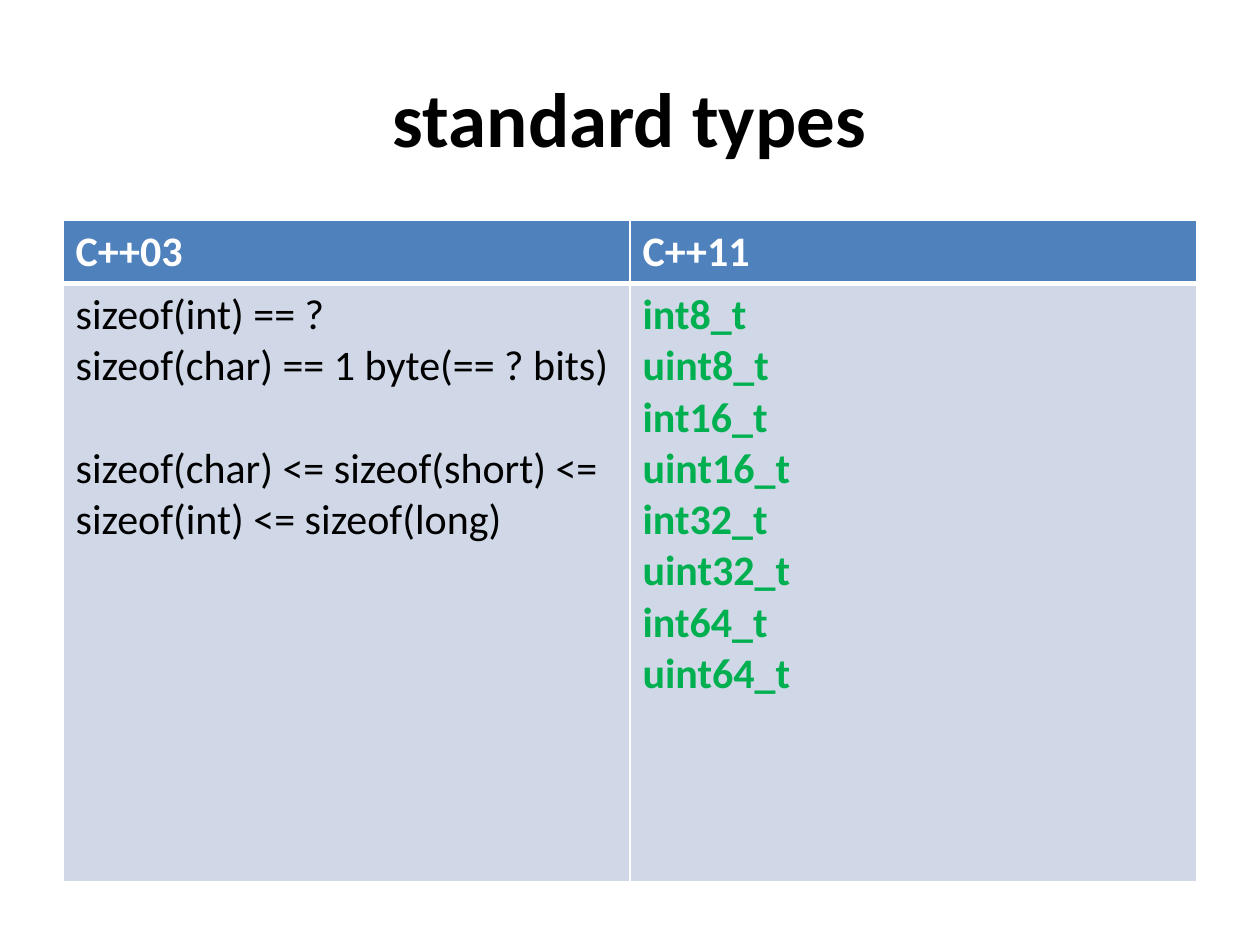
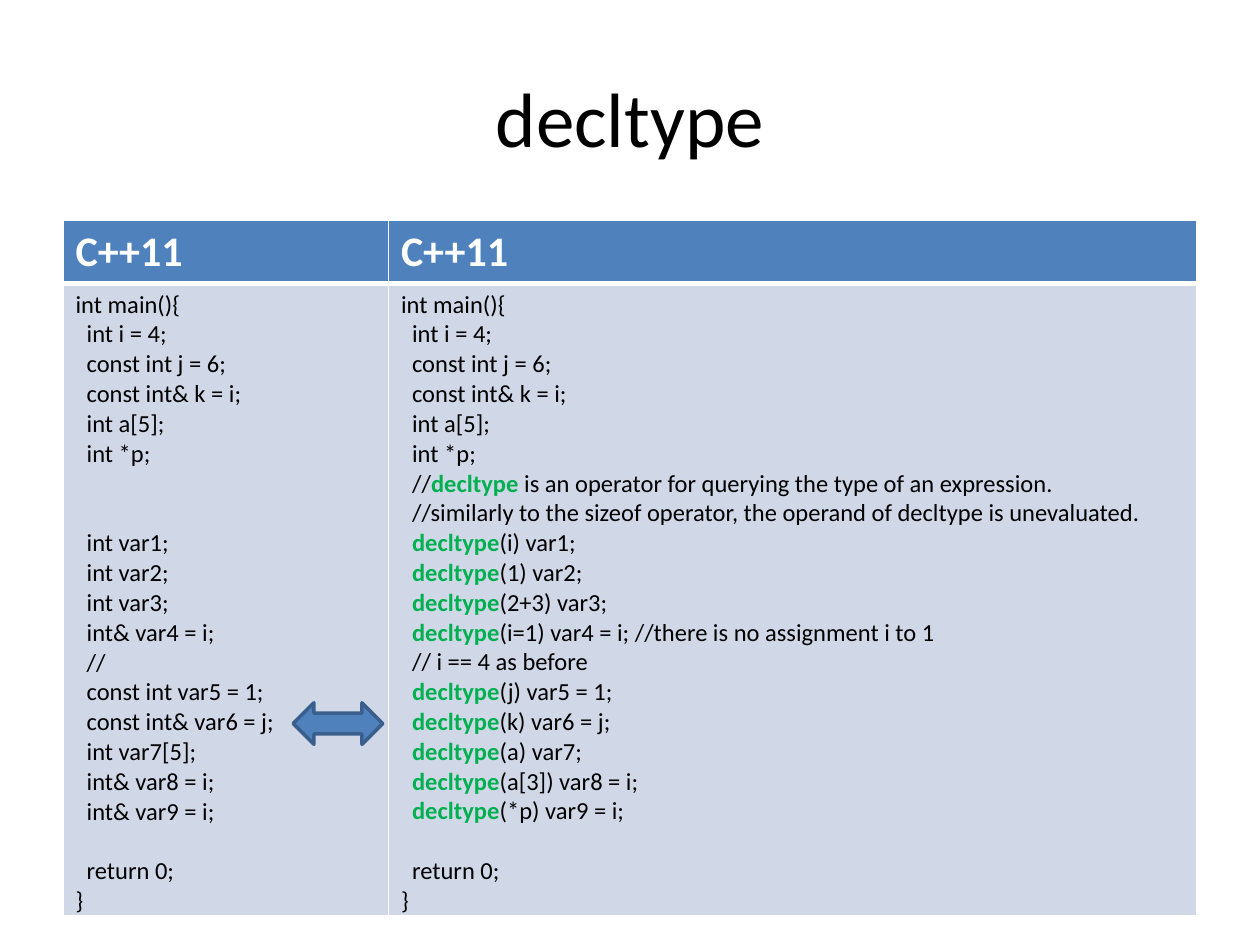
from lxml import etree
from pptx import Presentation
from pptx.dml.color import RGBColor
from pptx.enum.shapes import MSO_SHAPE
from pptx.enum.text import MSO_ANCHOR, PP_ALIGN
from pptx.oxml.ns import qn
from pptx.util import Inches, Pt

ARROW = MSO_SHAPE.LEFT_RIGHT_ARROW
CENTER = PP_ALIGN.CENTER
MIDDLE = MSO_ANCHOR.MIDDLE

BLACK = RGBColor(0x00, 0x00, 0x00)
WHITE = RGBColor(0xFF, 0xFF, 0xFF)
BLUE = RGBColor(0x4F, 0x81, 0xBD)
NAVY = RGBColor(0x3A, 0x5F, 0x8C)
PALE = RGBColor(0xD0, 0xD8, 0xE8)
GREEN = RGBColor(0x00, 0xB0, 0x50)

FONT = "Calibri"
LEAD = 1.22            # line height as a share of the text size
INDENT = Pt(6.33)      # one code level

# Grid: 20 columns and 30 rows on a 10 x 7.5 inch page
COL = Inches(10) // 20
ROW = Inches(7.5) // 30
HEAD = 2 * ROW         # height of the table's top row
THIN, THICK = Pt(1), Pt(3)


def grid(left, top, width, height):
    return (int(left * COL), int(top * ROW), int(width * COL), int(height * ROW))


TITLE = grid(1, 1.2, 18, 5)


def style(run, size, color, bold=False):
    font = run.font
    font.name, font.size, font.bold = FONT, Pt(size), bold
    font.color.rgb = color


def add_title(slide, box, text, bold):
    frame = slide.shapes.add_textbox(*box).text_frame
    frame.word_wrap = True
    frame.vertical_anchor = MIDDLE
    frame.text = text
    para = frame.paragraphs[0]
    para.alignment = CENTER
    style(para.runs[0], 44, BLACK, bold)


def add_line(para, text, size, color, bold):
    """Text between backticks is a green, bold keyword."""
    if text.startswith(" "):
        para._p.get_or_add_pPr().set("marL", str(INDENT))
    for i, part in enumerate(text.strip().split("`")):
        if part:
            run = para.add_run()
            run.text = part
            style(run, size, GREEN if i % 2 else color, bold or i % 2 == 1)


def fill_cell(cell, lines, size, color, bold, back, edges):
    """An empty line becomes space before the next paragraph."""
    props = cell._tc.get_or_add_tcPr()
    for side, width in zip("LRTB", edges):
        edge = etree.SubElement(props, qn("a:ln" + side), w=str(width))
        paint = etree.SubElement(edge, qn("a:solidFill"))
        etree.SubElement(paint, qn("a:srgbClr"), val=str(WHITE))
    cell.fill.solid()
    cell.fill.fore_color.rgb = back

    frame = cell.text_frame
    para, gap = frame.paragraphs[0], 0
    for i, line in enumerate(lines):
        if not line:
            gap += 1
            continue
        if i:
            para = frame.add_paragraph()
        if gap:
            para.space_before = Pt(gap * size * LEAD)
            gap = 0
        add_line(para, line, size, color, bold)


def add_pair(slide, box, shares, heads, bodies, size):
    """Two columns side by side under a blue top row."""
    left, top, width, height = box
    table = slide.shapes.add_table(2, 2, *box).table
    table.rows[0].height = HEAD
    table.rows[1].height = height - HEAD
    for i, share in enumerate(shares):
        table.columns[i].width = int(width * share)
        fill_cell(table.cell(0, i), [heads[i]], 24, WHITE, True, BLUE,
                  (THIN, THIN, THIN, THICK))
        fill_cell(table.cell(1, i), bodies[i], size, BLACK, False, PALE,
                  (THIN, THIN, THICK, THIN))


def add_arrow(slide, box):
    left, top, width, height = box
    shape = slide.shapes.add_shape(
        ARROW, int(left + 0.203 * width), int(top + 0.696 * height),
        int(0.079 * width), int(0.06 * height))
    shape.shadow.inherit = False
    shape.fill.solid()
    shape.fill.fore_color.rgb = BLUE
    shape.line.color.rgb = NAVY
    shape.line.width = Pt(2)


# Code that both columns of the second slide share
START = ["int main(){", " int i = 4;", " const int j = 6;",
         " const int& k = i;", " int a[5];", " int *p;"]
END = ["", " return 0;", "}"]

SIZES = [
    "sizeof(int) == ?",
    "sizeof(char) == 1 byte(== ? bits)",
    "",
    "sizeof(char) <= sizeof(short) <= sizeof(int) <= sizeof(long)",
]
TYPES = [f"`{sign}int{bits}_t`" for bits in (8, 16, 32, 64) for sign in ("", "u")]

PLAIN = START + [
    "", "",
    " int var1;",
    " int var2;",
    " int var3;",
    " int& var4 = i;",
    " //",
    " const int var5 = 1;",
    " const int& var6 = j;",
    " int var7[5];",
    " int& var8 = i;",
    " int& var9 = i;",
] + END

QUERY = START + [
    " //`decltype `is an operator for querying the type of an expression.",
    " //similarly to the sizeof operator, the operand of decltype is unevaluated.",
    " `decltype`(i) var1;",
    " `decltype`(1) var2;",
    " `decltype`(2+3) var3;",
    " `decltype`(i=1) var4 = i; //there is no assignment i to 1",
    " // i == 4 as before",
    " `decltype`(j) var5 = 1;",
    " `decltype`(k) var6 = j;",
    " `decltype`(a) var7;",
    " `decltype`(a[3]) var8 = i;",
    " `decltype`(*p) var9 = i;",
] + END

deck = Presentation()
deck.slide_width, deck.slide_height = 20 * COL, 30 * ROW
blank = deck.slide_layouts[6]

# Standard types
slide = deck.slides.add_slide(blank)
add_title(slide, TITLE, "standard types", True)
add_pair(slide, grid(1, 7, 18, 21), (0.5, 0.5), ("C++03", "C++11"),
         (SIZES, TYPES), 24)

# Decltype
slide = deck.slides.add_slide(blank)
area = grid(1, 7, 18, 22)
add_title(slide, TITLE, "decltype", False)
add_pair(slide, area, (0.287, 0.713), ("C++11", "C++11"), (PLAIN, QUERY), 14)
add_arrow(slide, area)

deck.save("out.pptx")
